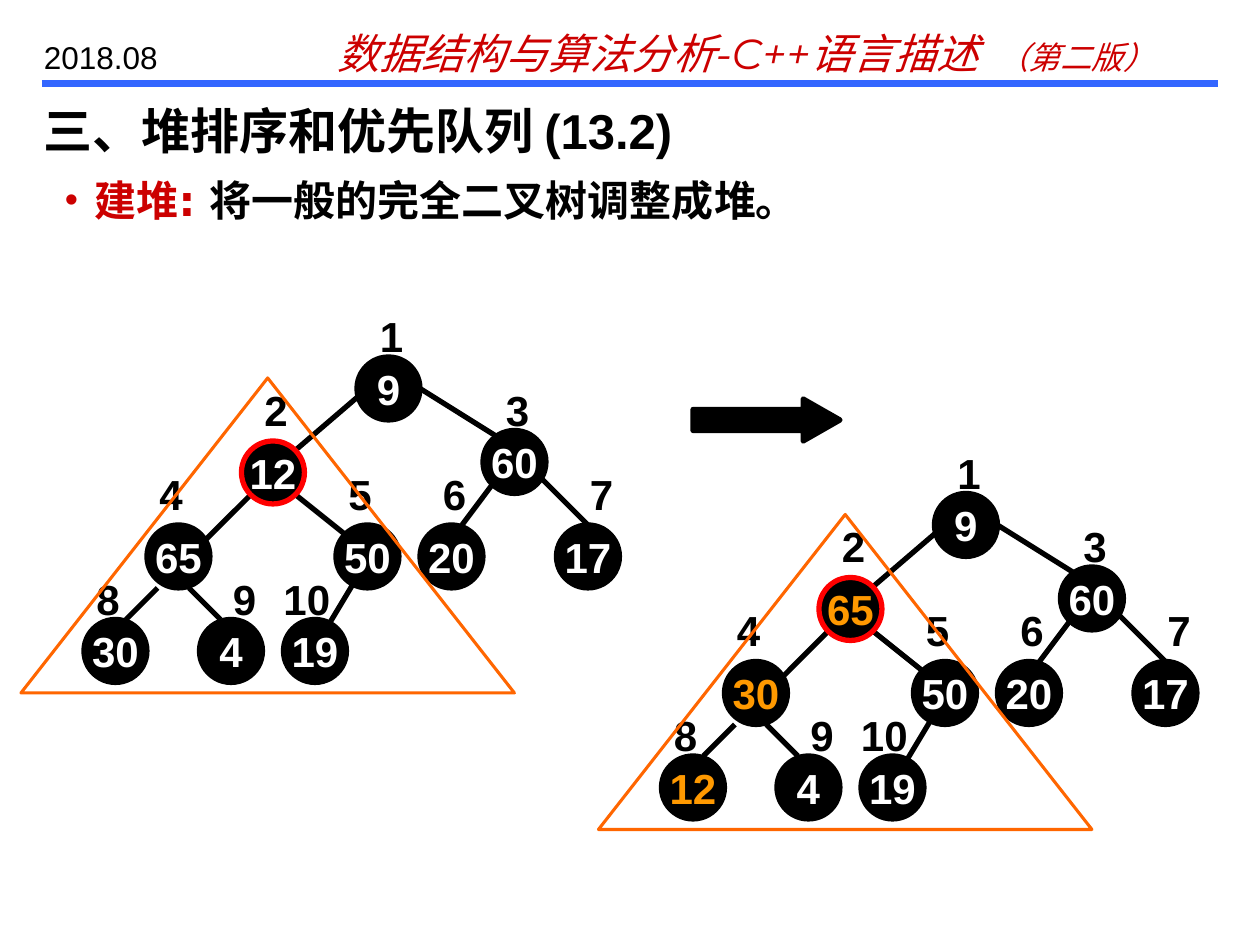
from lxml import etree
from pptx import Presentation
from pptx import util as u
from pptx.dml.color import RGBColor
from pptx.enum import shapes, text
from pptx.oxml.ns import qn

HUES = {"ink": "000000", "paper": "FFFFFF", "rule": "3366FF", "title": "CC0000",
        "ring": "FF0000", "zone": "FF6600", "moved": "FF9900"}
SIDE = 36  # side of a node and of its index label

NODES = [(204, 204), (138, 252), (276, 246), (84, 300), (192, 300),
         (240, 300), (318, 300), (48, 354), (114, 354), (162, 354)]
LABELS = [(210, 174), (144, 216), (282, 216), (84, 264), (192, 264),
          (246, 264), (330, 264), (48, 324), (126, 324), (162, 324)]
EDGES = [(210, 222, 168, 258), (240, 222, 288, 252), (144, 282, 114, 312),
         (168, 282, 198, 306), (282, 276, 264, 300), (306, 270, 336, 300),
         (90, 336, 72, 354), (108, 336, 126, 354), (204, 330, 186, 360)]
BEFORE = [9, 12, 60, 65, 50, 20, 17, 30, 4, 19]
AFTER = [9, 65, 60, 30, 50, 20, 17, 12, 4, 19]
PIVOT = 1  # position of the root of the subtree being sifted


def color(name):
    return RGBColor.from_string(HUES[name])


class Page:
    def __init__(self, slide, face="Arial"):
        self.slide, self.face = slide, face
        self.items = slide.shapes

    def style(self, font, size, hue="ink", bold=False, italic=False, face=None):
        font.name, font.size = face or self.face, u.Pt(size)
        font.bold, font.italic = bold, italic
        font.color.rgb = color(hue)

    def words(self, x, y, w, h, body, size, pad=7.2, **look):
        box = self.items.add_textbox(*map(u.Pt, (x, y, w, h)))
        frame = box.text_frame
        frame.word_wrap = True
        frame.margin_left = frame.margin_right = u.Pt(pad)
        para = frame.paragraphs[0]
        para.text = body
        self.style(para.font, size, **look)
        return para

    def line(self, x1, y1, x2, y2, hue="ink", width=3):
        link = self.items.add_connector(
            shapes.MSO_CONNECTOR.STRAIGHT, *map(u.Pt, (x1, y1, x2, y2)))
        link.line.color.rgb = color(hue)
        link.line.width = u.Pt(width)
        etree.SubElement(link._element.spPr, qn("a:effectLst"))

    def shape(self, kind, x, y, w, h, fill="ink", edge="ink", width=3):
        item = self.items.add_shape(kind, *map(u.Pt, (x, y, w, h)))
        item.shadow.inherit = False
        if fill:
            item.fill.solid()
            item.fill.fore_color.rgb = color(fill)
        else:
            item.fill.background()
        item.line.color.rgb = color(edge)
        item.line.width = u.Pt(width)
        return item

    def node(self, x, y, value, hue, edge):
        frame = self.shape(shapes.MSO_SHAPE.OVAL, x, y, SIDE, SIDE, edge=edge).text_frame
        frame.word_wrap = False
        frame.vertical_anchor = text.MSO_ANCHOR.MIDDLE
        para = frame.paragraphs[0]
        para.text = str(value)
        para.alignment = text.PP_ALIGN.CENTER
        self.style(para.font, 24, hue, bold=True)

    def tree(self, values, dx=0, dy=0):
        """Draw one grouped heap; values that differ from BEFORE are highlighted."""
        self.items = self.slide.shapes.add_group_shape().shapes
        for x1, y1, x2, y2 in EDGES:
            self.line(x1 + dx, y1 + dy, x2 + dx, y2 + dy)
        for i, (x, y) in enumerate(NODES):
            hue = "paper" if values[i] == BEFORE[i] else "moved"
            self.node(x + dx, y + dy, values[i], hue, "ring" if i == PIVOT else "ink")
        for i, (x, y) in enumerate(LABELS, 1):
            self.words(x + dx, y + dy, SIDE, SIDE, str(i), 24,
                       pad=0 if i > 9 else 7.2, bold=True)
        self.shape(shapes.MSO_SHAPE.ISOSCELES_TRIANGLE, 12 + dx, 216 + dy, 282, 180,
                   fill=None, edge="zone", width=1.75)
        self.items = self.slide.shapes

    def bullet(self, para, hue, scale, indent):
        props = para._p.get_or_add_pPr()
        props.set("marL", str(u.Pt(indent)))
        props.set("indent", str(-u.Pt(indent)))
        tint = etree.SubElement(props, qn("a:buClr"))
        etree.SubElement(tint, qn("a:srgbClr"), val=HUES[hue])
        etree.SubElement(props, qn("a:buSzPct"), val=str(scale * 1000))
        etree.SubElement(props, qn("a:buFont"), typeface=self.face)
        etree.SubElement(props, qn("a:buChar"), char="•")


def main():
    deck = Presentation()
    deck.slide_width, deck.slide_height = u.Pt(720), u.Pt(540)
    page = Page(deck.slides.add_slide(deck.slide_layouts[6]))

    page.line(24, 48, 696, 48, "rule", 4)
    head = page.words(186, 12, 504, 36, "数据结构与算法分析-C++语言描述  ", 24,
                      hue="title", italic=True, face="Montserrat")
    issue = head.add_run()
    issue.text = "（第二版）"
    issue.font.size = u.Pt(18)
    page.words(18, 18, 102, 29, "2018.08", 18)
    page.words(18, 54, 612, 42, "三、堆排序和优先队列 (13.2)", 28, bold=True)

    point = page.words(30, 96, 648, 36, "", 24, bold=True, face="DejaVu Sans")
    point._p.remove(point._p.pPr)
    page.bullet(point, "title", 90, 17)
    page.style(point.font, 24, bold=True, face="DejaVu Sans")
    for part, hue in (("建堆: ", "title"), ("将一般的完全二叉树调整成堆。", "ink")):
        run = point.add_run()
        run.text = part
        run.font.color.rgb = color(hue)

    arrow = page.shape(shapes.MSO_SHAPE.RIGHT_ARROW, 396, 228, 84, 24)
    arrow.adjustments[1] = 0.875
    page.tree(BEFORE)
    page.tree(AFTER, 330, 78)
    deck.save("out.pptx")


if __name__ == "__main__":
    main()
